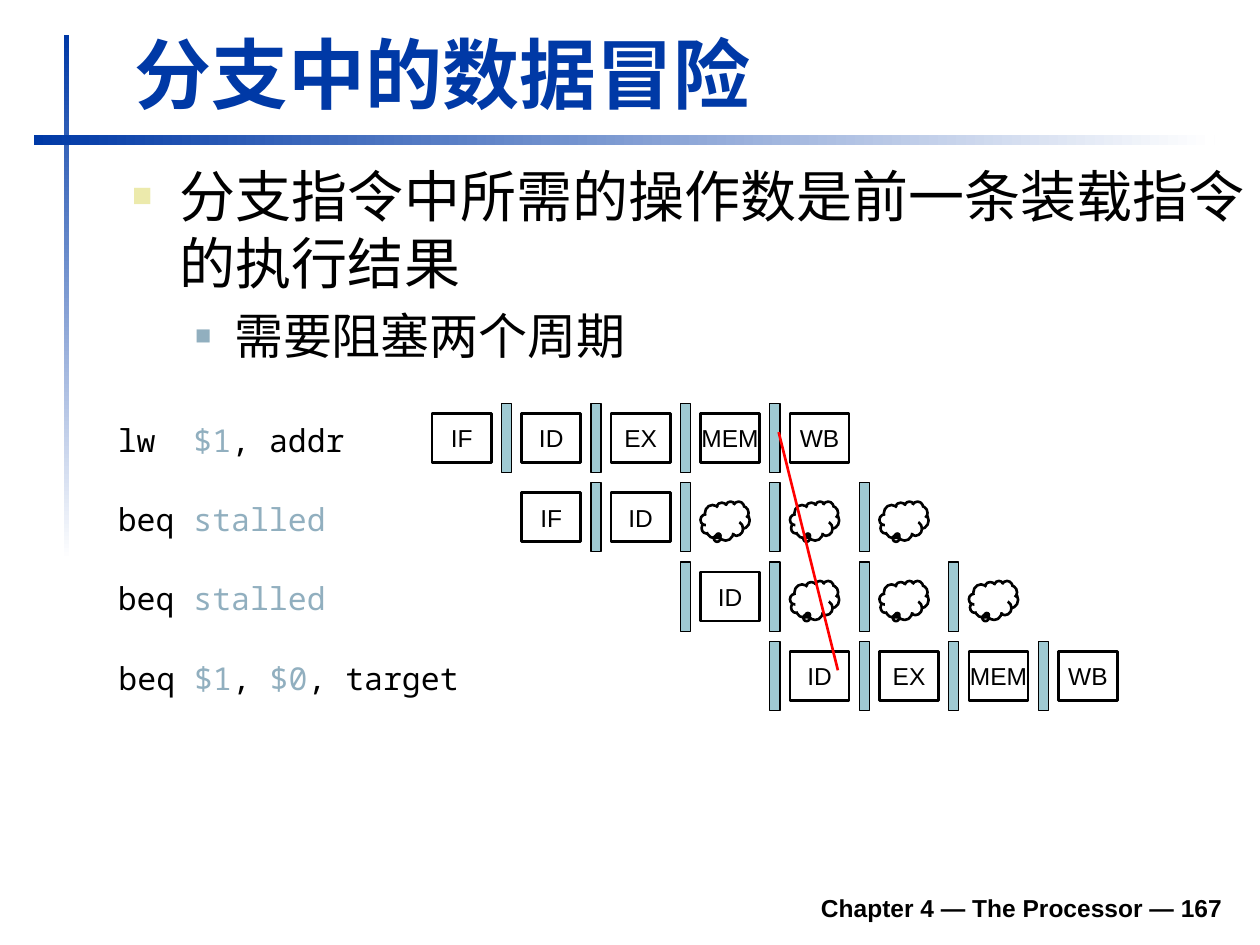
from lxml import etree
from pptx import Presentation
from pptx import util as u
from pptx.dml.color import RGBColor
from pptx.enum import shapes, text
from pptx.oxml import ns

BLUE = RGBColor(0x00, 0x39, 0xA6)
WHITE = RGBColor(0xFF, 0xFF, 0xFF)
BLACK = RGBColor(0x00, 0x00, 0x00)
STEEL = RGBColor(0x91, 0xAF, 0xBF)
TEAL = RGBColor(0x9F, 0xCA, 0xD3)
RED = RGBColor(0xFF, 0x00, 0x00)
RECT = shapes.MSO_SHAPE.RECTANGLE
CLOUD = shapes.MSO_SHAPE.CLOUD_CALLOUT

prs = Presentation()
prs.slide_width, prs.slide_height = u.Inches(10), u.Inches(7.5)
s = prs.slides.add_slide(prs.slide_layouts[6])


def add_shape(kind, x, y, w, h, width=None, fill=None):
    sp = s.shapes.add_shape(kind, *map(u.Inches, (x, y, w, h)))
    sp.shadow.inherit = False
    if fill is None:
        sp.fill.background()
    else:
        sp.fill.solid()
        sp.fill.fore_color.rgb = fill
    if width is None:
        sp.line.fill.background()
    else:
        sp.line.color.rgb = BLACK
        sp.line.width = u.Pt(width)
    return sp


def add_runs(p, runs, size, font="Arial", bold=False):
    for words, color in runs:
        r = p.add_run()
        r.text = words
        fmt = {"size": u.Pt(size), "name": font, "bold": bold}
        for key, value in fmt.items():
            setattr(r.font, key, value)
        r.font.color.rgb = color


for x, y, w, h, angle in [(0.51, 0.28, 0.04, 4.17, 270), (0.27, 1.07, 9.37, 0.08, 0)]:
    sp = add_shape(RECT, x, y, w, h)
    sp.fill.gradient()
    sp.fill.gradient_angle = angle
    for stop, color in zip(sp.fill.gradient_stops, (BLUE, WHITE)):
        stop.color.rgb = color

headings = [
    ("分支中的数据冒险", (0.97, 0.16, 9.03, 0.83), 44, BLUE, text.PP_ALIGN.LEFT),
    ("Chapter 4 — The Processor — 167", (1.85, 6.98, 7.95, 0.39), 14, BLACK, text.PP_ALIGN.RIGHT),
]
for words, at, size, color, align in headings:
    tf = s.shapes.add_textbox(*map(u.Inches, at)).text_frame
    for key, value in {"word_wrap": True, "vertical_anchor": text.MSO_ANCHOR.BOTTOM}.items():
        setattr(tf, key, value)
    p = tf.paragraphs[0]
    p.alignment = align
    add_runs(p, [(words, color)], size, bold=True)

tf = s.shapes.add_textbox(*map(u.Inches, (0.95, 1.23, 9.05, 2.6))).text_frame
tf.word_wrap = True
points = [
    ("分支指令中所需的操作数是前一条装载指令的执行结果", 32, 0.38, 0.38, "ECEAAC", 60),
    ("需要阻塞两个周期", 28, 0.81, 0.31, "91AFBF", 55),
]
for level, (words, size, left, hang, color, percent) in enumerate(points):
    p = tf.add_paragraph() if level else tf.paragraphs[0]
    p.level = level
    if level:
        p.space_before = u.Pt(size * 0.2)
    pPr = p._p.get_or_add_pPr()
    pPr.set("marL", str(u.Inches(left)))
    pPr.set("indent", str(-u.Inches(hang)))
    clr = etree.SubElement(pPr, ns.qn("a:buClr"))
    etree.SubElement(clr, ns.qn("a:srgbClr"), val=color)
    etree.SubElement(pPr, ns.qn("a:buSzPct"), val=str(percent * 1000))
    etree.SubElement(pPr, ns.qn("a:buFont"), typeface="Arial")
    etree.SubElement(pPr, ns.qn("a:buChar"), char="■")
    add_runs(p, [(words, BLACK)], size)

LEFT, TOP, COL, ROW = 3.43, 3.28, 0.71, 0.63
STALL = "stall"
stalled = [("beq ", BLACK), ("stalled", STEEL)]
rows = [
    ([("lw  ", BLACK), ("$1", STEEL), (", addr", BLACK)], 2.01, ["IF", "ID", "EX", "MEM", "WB"]),
    (stalled, 1.86, ["IF", "ID", STALL, STALL, STALL]),
    (stalled, 1.86, ["ID", STALL, STALL, STALL]),
    ([("beq ", BLACK), ("$1", STEEL), (", ", BLACK), ("$0", STEEL), (", target", BLACK)],
     2.92, ["ID", "EX", "MEM", "WB"]),
]
for row, (code, width, stages) in enumerate(rows):
    y = TOP + row * ROW
    tf = s.shapes.add_textbox(*map(u.Inches, (0.83, y + 0.01, width, 0.4))).text_frame
    tf.word_wrap = False
    p = tf.paragraphs[0]
    p.alignment = text.PP_ALIGN.CENTER
    add_runs(p, code, 18, "Noto Sans Mono")

    for col in range(row + 1, row + 5):
        add_shape(RECT, LEFT + col * COL - 0.16, y - 0.08, 0.08, 0.55, 0.75, TEAL)

    for col, stage in enumerate(stages, row + 5 - len(stages)):
        x = LEFT + col * COL
        if stage == STALL:
            sp = add_shape(CLOUD, x, y + 0.07, 0.39, 0.31, 1.5)
            sp.adjustments[0], sp.adjustments[1] = -0.13, 0.36
            continue
        sp = add_shape(RECT, x, y, 0.47, 0.39, 1.5)
        tf = sp.text_frame
        for key, value in {"word_wrap": False, "vertical_anchor": text.MSO_ANCHOR.MIDDLE}.items():
            setattr(tf, key, value)
        p = tf.paragraphs[0]
        p.alignment = text.PP_ALIGN.CENTER
        add_runs(p, [(stage, BLACK)], 14)

line = s.shapes.add_connector(shapes.MSO_CONNECTOR.STRAIGHT, *map(u.Inches, (6.18, 3.43, 6.65, 5.32)))
line.line.color.rgb = RED
line.line.width = u.Pt(1.5)
etree.SubElement(line._element.spPr, ns.qn("a:effectLst"))

prs.save("out.pptx")
